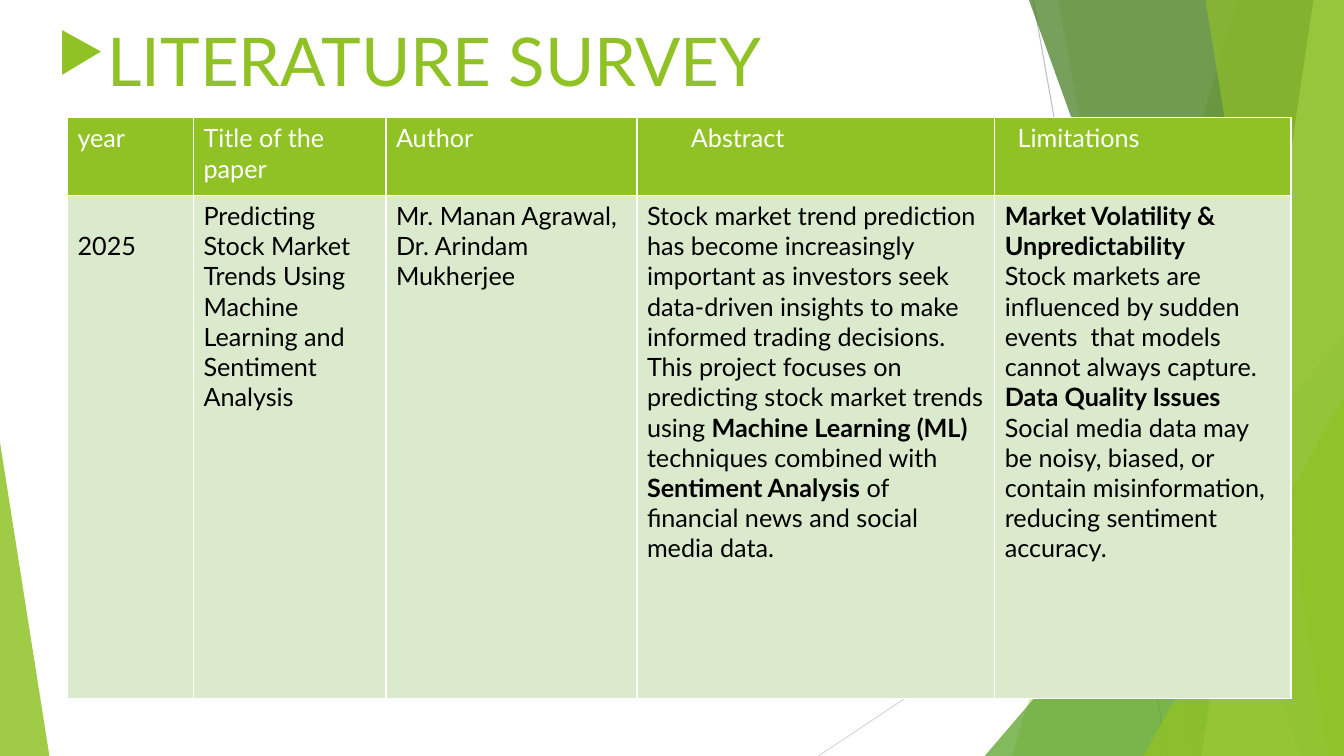
from lxml import etree
from pptx import Presentation
from pptx.dml.color import RGBColor
from pptx.enum import shapes as s
from pptx.oxml.ns import qn
from pptx.util import Pt

WIDE, HIGH = 960, 540
GREEN, PALE, WHITE, BLACK = "90C226", "DBE9CD", "FFFFFF", "000000"
FONT = "Lato"

COLS = [90, 137.5, 179.3, 255.6, 211.6]
ROWS = [55.4, 359.6]
PAD = 7.2

# Header cells: text and left margin
HEADS = [("year", PAD), ("Title of the paper", PAD), ("Author", PAD),
         ("Abstract", 38.6), ("Limitations", 16.4)]

# Body cells: paragraphs and top margin; ** switches bold, a newline breaks the line
BODY = [
    (["2025"], 25.2),
    (["Predicting Stock Market Trends Using Machine Learning and "
      "Sentiment Analysis"], 3.6),
    (["Mr. Manan Agrawal,", "Dr. Arindam Mukherjee"], 3.6),
    (["Stock market trend prediction has become increasingly important as "
      "investors seek data-driven insights to make informed trading decisions. "
      "This project focuses on predicting stock market trends using "
      "**Machine Learning (ML)** techniques combined with "
      "**Sentiment Analysis** of financial news and social media data."], 3.6),
    (["**Market Volatility & Unpredictability**\nStock markets are influenced by "
      "sudden events  that models cannot always capture.",
      "**Data Quality Issues**\nSocial media data may be noisy, biased, or "
      "contain misinformation, reducing sentiment accuracy."], 3.6),
]


def rgb(color):
    return RGBColor.from_string(color)


def add(parent, tag, **attrs):
    return etree.SubElement(parent, qn(tag), attrs)


def paint(shape, color, alpha):
    shape.shadow.inherit = False
    shape.line.fill.background()
    shape.fill.solid()
    shape.fill.fore_color.rgb = rgb(color)
    tone = shape.fill._xPr.find(qn("a:solidFill"))[0]
    add(tone, "a:alpha", val=str(alpha * 1000))


def line(slide, x1, y1, x2, y2, color):
    rule = slide.shapes.add_connector(
        s.MSO_CONNECTOR.STRAIGHT, Pt(x1), Pt(y1), Pt(x2), Pt(y2))
    rule.line.color.rgb = rgb(color)
    rule.line.width = Pt(0.75)
    add(rule._element.spPr, "a:effectLst")


def panel(slide, top, low, color, alpha):
    """Full-height panel from a slanted left side to the right slide edge."""
    build = slide.shapes.build_freeform(Pt(top), 0)
    build.add_line_segments(
        [(Pt(WIDE), 0), (Pt(WIDE), Pt(HIGH)), (Pt(low), Pt(HIGH))], close=True)
    paint(build.convert_to_shape(), color, alpha)


def wedge(slide, left, right, top, peak, color, alpha):
    """Right triangle standing on the bottom slide edge."""
    shape = slide.shapes.add_shape(
        s.MSO_SHAPE.ISOSCELES_TRIANGLE,
        Pt(left), Pt(top), Pt(right - left), Pt(HIGH - top))
    shape.adjustments[0] = peak
    paint(shape, color, alpha)


def style(para, size, color):
    para.font.name = FONT
    para.font.size = Pt(size)
    para.font.color.rgb = rgb(color)


def title(slide, words):
    box = slide.shapes.add_textbox(Pt(33.8), Pt(10), Pt(888.5), Pt(90))
    box.text_frame.word_wrap = True
    para = box.text_frame.paragraphs[0]
    para.text = words
    props = para._p.get_or_add_pPr()
    props.set("marL", str(Pt(27)))
    props.set("indent", str(Pt(-27)))
    add(add(props, "a:buClr"), "a:srgbClr", val=GREEN)
    add(props, "a:buSzPct", val="80000")
    add(props, "a:buChar", char="▶")
    style(para, 48, GREEN)


def write(para, words, color):
    for i, row in enumerate(words.split("\n")):
        if i:
            para.add_line_break()
        for j, part in enumerate(row.split("**")):
            if part:
                run = para.add_run()
                run.text = part
                if j % 2:
                    run.font.bold = True
    style(para, 18, color)


def fill(cell, paras, color, back, left=PAD, top=3.6):
    cell.margin_left, cell.margin_top = Pt(left), Pt(top)
    props = cell._tc.get_or_add_tcPr()
    for side in "LRTB":
        edge = add(props, f"a:ln{side}", w=str(Pt(1)))
        add(add(edge, "a:solidFill"), "a:srgbClr", val=WHITE)
    cell.fill.solid()
    cell.fill.fore_color.rgb = rgb(back)
    frame = cell.text_frame
    for i, words in enumerate(paras):
        para = frame.add_paragraph() if i else frame.paragraphs[0]
        write(para, words, color)


def survey(slide):
    table = slide.shapes.add_table(
        len(ROWS), len(COLS), Pt(48.2), Pt(84.2),
        Pt(sum(COLS)), Pt(sum(ROWS))).table
    table.first_row = table.horz_banding = False
    for col, width in zip(table.columns, COLS):
        col.width = Pt(width)
    for row, height in zip(table.rows, ROWS):
        row.height = Pt(height)
    for i, (words, left) in enumerate(HEADS):
        fill(table.cell(0, i), [words], WHITE, GREEN, left=left)
    for i, (paras, top) in enumerate(BODY):
        fill(table.cell(1, i), paras, BLACK, PALE, top=top)


def main():
    deck = Presentation()
    deck.slide_width, deck.slide_height = Pt(WIDE), Pt(HIGH)
    slide = deck.slides.add_slide(deck.slide_layouts[6])

    # Background facets, back to front
    line(slide, 738, 0, 834, HIGH, "BFBFBF")
    line(slide, WIDE, 290, 584.6, HIGH, "D9D9D9")
    panel(slide, 884.2, 723, GREEN, 30)
    panel(slide, 756, 851.8, GREEN, 20)
    wedge(slide, 703.4, WIDE, 240, 1, "54A021", 72)
    panel(slide, 735, 929.5, "3F7819", 70)
    panel(slide, 938.2, 858.2, "C0E474", 70)
    panel(slide, 861, 949, GREEN, 65)
    wedge(slide, 816.6, WIDE, 283, 1, GREEN, 80)
    wedge(slide, 0, 35.3, 316, 0, GREEN, 85)

    # Content
    title(slide, "LITERATURE SURVEY")
    survey(slide)
    deck.save("out.pptx")


if __name__ == "__main__":
    main()
